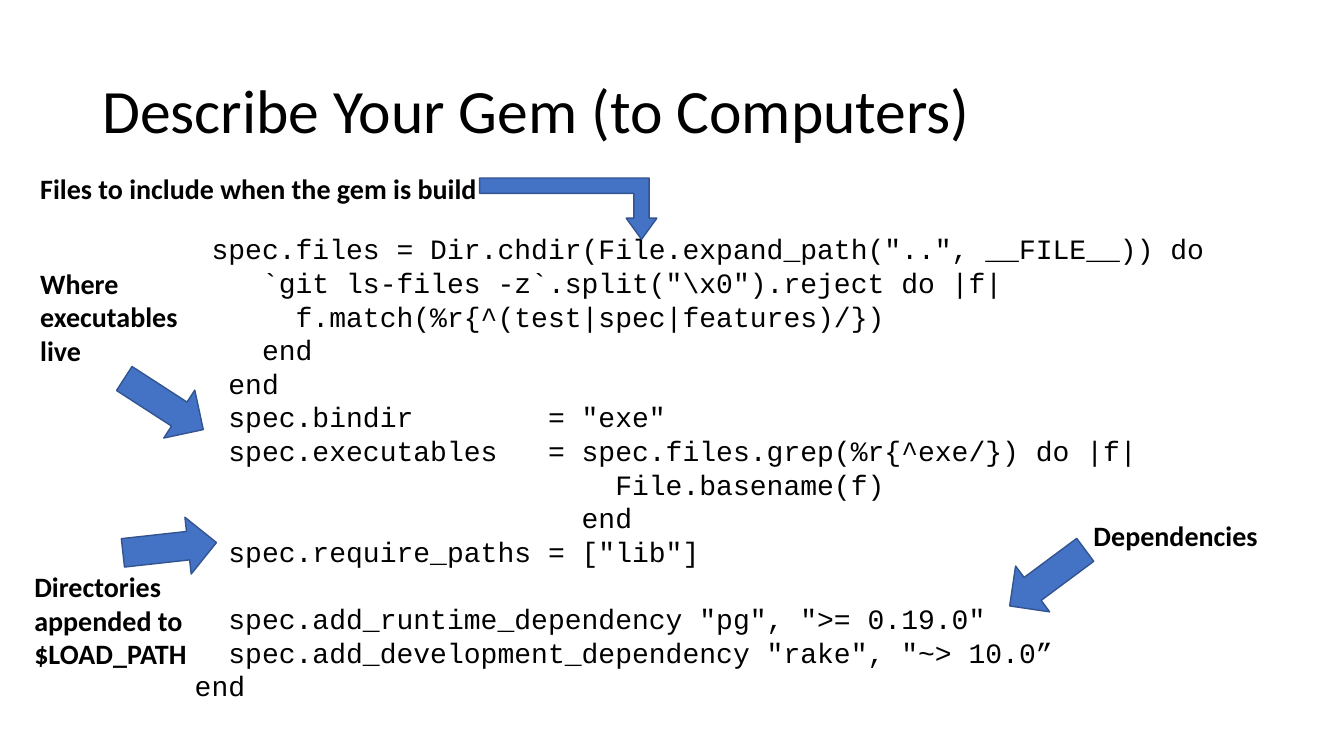
"""Build a slide that explains the parts of a gem specification."""
from pptx import Presentation
from pptx import util as u
from pptx.dml.color import RGBColor
from pptx.enum import shapes, text

BLACK = RGBColor(0x00, 0x00, 0x00)
WHITE = RGBColor(0xFF, 0xFF, 0xFF)
BLUE = RGBColor(0x44, 0x72, 0xC4)
DARK_BLUE = RGBColor(0x32, 0x54, 0x91)

WIDTH, HEIGHT = u.Inches(13.33), u.Inches(7.5)
COLUMNS, ROWS = 160, 90
CODE_PITCH = u.Pt(24)
ARROW_COLUMNS, ARROW_ROWS = 6.8, 11.2

CODE = r'''
 spec.files = Dir.chdir(File.expand_path("..", __FILE__)) do
    `git ls-files -z`.split("\x0").reject do |f|
      f.match(%r{^(test|spec|features)/})
    end
  end
  spec.bindir        = "exe"
  spec.executables   = spec.files.grep(%r{^exe/}) do |f|
                         File.basename(f)
                       end
  spec.require_paths = ["lib"]

  spec.add_runtime_dependency "pg", ">= 0.19.0"
  spec.add_development_dependency "rake", "~> 10.0”
end
'''.strip("\n")

LABELS = [
    ("Files to include when the gem is build", (3.6, 19.8, 54.7, 5.3), None),
    ("Where executables live", (3.6, 31.1, 21.8, 13.3), WHITE),
    ("Directories appended to $LOAD_PATH", (2.9, 67.2, 21.1, 13.3), WHITE),
    ("Dependencies", (129, 61.1, 23.8, 5.3), None),
]

ARROWS = [(16.8, 59.6, 263.7), (16.1, 42.5, 302.9), (121.3, 63.2, 53.4)]


def place(column, row, columns, rows):
    """Turn grid units into slide lengths."""
    return (round(WIDTH * column / COLUMNS), round(HEIGHT * row / ROWS),
            round(WIDTH * columns / COLUMNS), round(HEIGHT * rows / ROWS))


def add_run(paragraph, words, size, font="Calibri", bold=False):
    """Append one formatted run to a paragraph."""
    run = paragraph.add_run()
    run.text = words
    run.font.name = font
    run.font.size = u.Pt(size)
    run.font.bold = bold
    run.font.color.rgb = BLACK


def add_title(slide, words, area):
    """Add the vertically centred heading."""
    frame = slide.shapes.add_textbox(*place(*area)).text_frame
    frame.word_wrap = True
    frame.vertical_anchor = text.MSO_ANCHOR.MIDDLE
    paragraph = frame.paragraphs[0]
    paragraph.line_spacing = 0.9
    add_run(paragraph, words, 44)


def add_code(slide, code, area):
    """Add a listing, with a blank line made as space before the next."""
    frame = slide.shapes.add_textbox(*place(*area)).text_frame
    frame.word_wrap = False
    paragraph, gap = frame.paragraphs[0], 0
    for number, line in enumerate(code.split("\n")):
        if not line:
            gap = CODE_PITCH
            continue
        if number:
            paragraph = frame.add_paragraph()
        paragraph.line_spacing = CODE_PITCH
        paragraph.space_before = u.Emu(gap)
        add_run(paragraph, line, 20, "Courier New")
        gap = 0


def add_label(slide, words, area, fill):
    """Add a bold note, with an optional background."""
    label = slide.shapes.add_textbox(*place(*area))
    if fill is not None:
        label.fill.solid()
        label.fill.fore_color.rgb = fill
    label.text_frame.word_wrap = True
    add_run(label.text_frame.paragraphs[0], words, 20, bold=True)


def add_arrow(slide, kind, area, rotation=0):
    """Add a blue block arrow."""
    arrow = slide.shapes.add_shape(kind, *place(*area))
    arrow.shadow.inherit = False
    arrow.rotation = rotation
    arrow.fill.solid()
    arrow.fill.fore_color.rgb = BLUE
    arrow.line.color.rgb = DARK_BLUE
    arrow.line.width = u.Pt(1)
    return arrow


def add_bent_arrow(slide, area):
    """Add an arrow that runs right and then turns down."""
    arrow = add_arrow(slide, shapes.MSO_SHAPE.BENT_UP_ARROW, area)
    arrow.adjustments[2] = 0.345
    arrow.element.spPr.xfrm.set("flipV", "1")


def main():
    """Compose and save the slide."""
    presentation = Presentation()
    presentation.slide_width, presentation.slide_height = WIDTH, HEIGHT
    slide = presentation.slides.add_slide(presentation.slide_layouts[6])
    add_code(slide, CODE, (22, 27, 123.6, 57.7))
    add_title(slide, "Describe Your Gem (to Computers)", (11, 4.8, 138, 17.4))
    for words, area, fill in LABELS:
        add_label(slide, words, area, fill)
    add_bent_arrow(slide, (57.1, 21.2, 21.1, 7.3))
    for column, row, rotation in ARROWS:
        add_arrow(slide, shapes.MSO_SHAPE.DOWN_ARROW,
                  (column, row, ARROW_COLUMNS, ARROW_ROWS), rotation)
    presentation.save("out.pptx")


if __name__ == "__main__":
    main()
